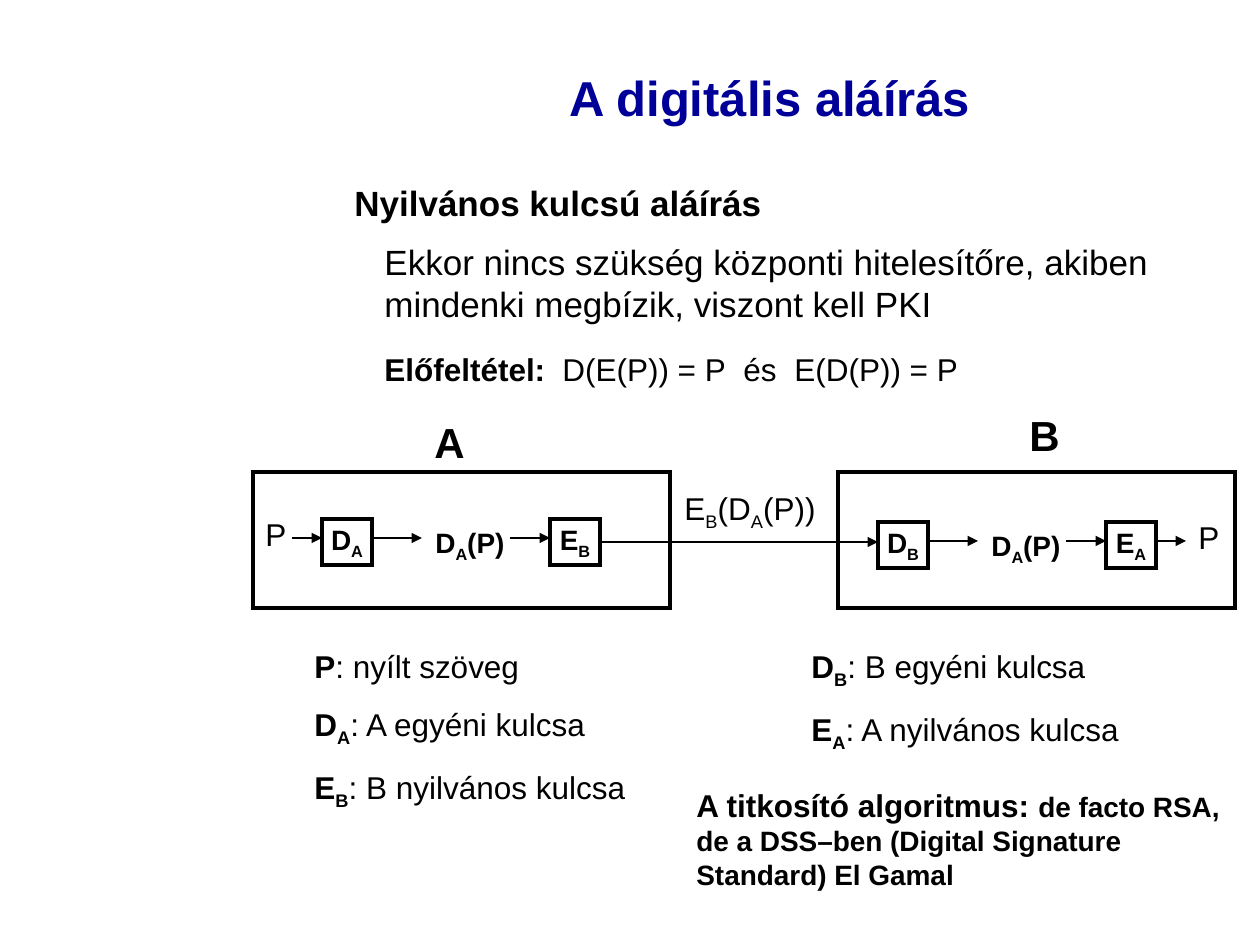
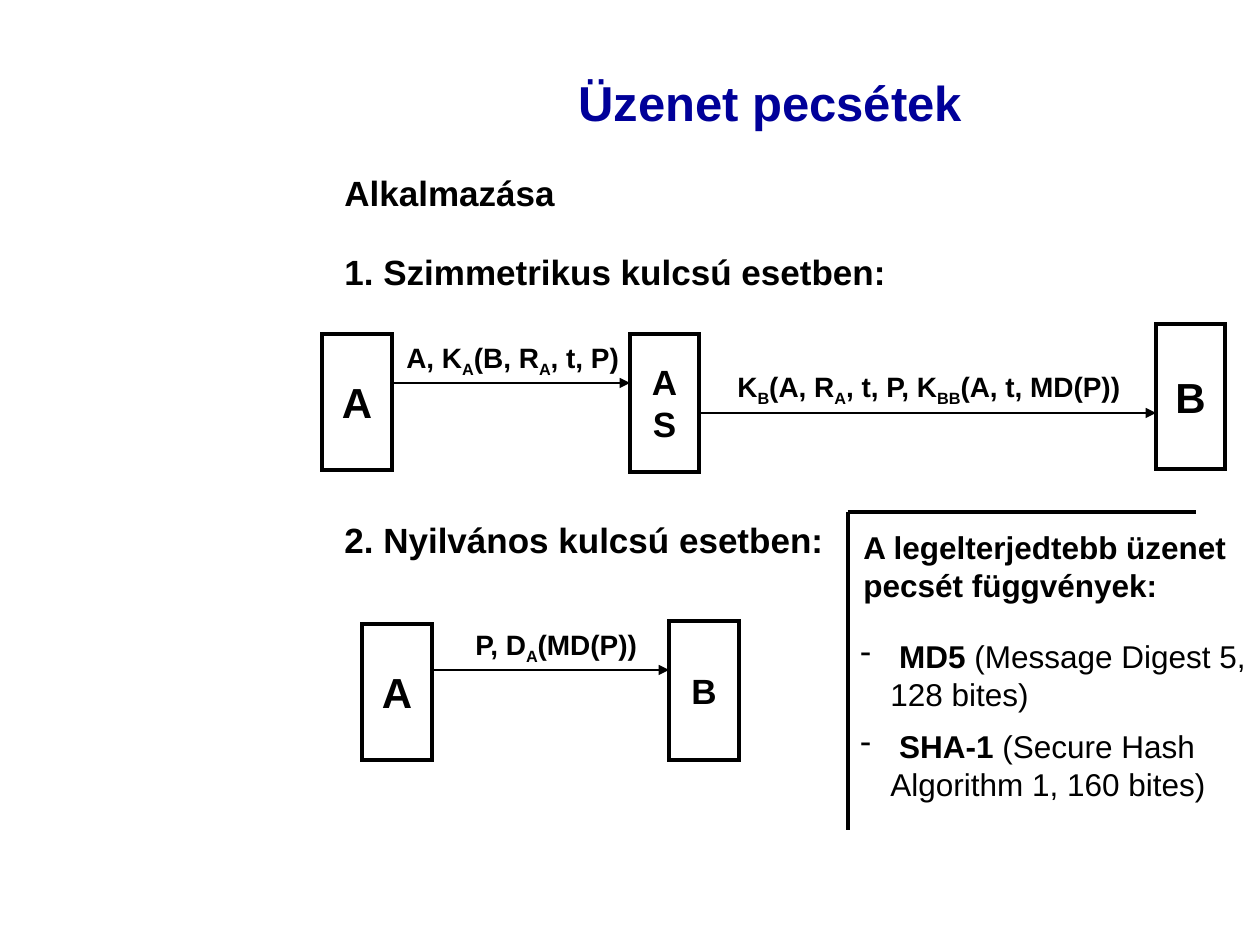
from lxml.etree import SubElement as Sub
from pptx import Presentation
from pptx.dml.color import RGBColor
from pptx.enum.shapes import MSO_CONNECTOR as Conn, MSO_SHAPE as Shape
from pptx.enum.text import MSO_ANCHOR as Anchor, MSO_AUTO_SIZE as Fit, PP_ALIGN as Align
from pptx.oxml.ns import qn
from pptx.util import Emu, Pt

BLACK = RGBColor(0, 0, 0)
NAVY = RGBColor(0, 0, 153)
FONT = "Arial"
THIN, THICK = 0.75, 2.25

# Content: *bold*, ~subscript~; lengths in px, 126 to the inch
SIGN = {
    "title": ("A digitális aláírás", (343, 38, 854, 117)),
    # place, size, wrap, space before, paragraphs
    "texts": [
        ((372, 234, 863, 97), 20, True, 0,
         ["Ekkor nincs szükség központi hitelesítőre, akiben mindenki megbízik, viszont kell PKI"]),
        ((342, 175, 452, 55), 20, True, 0, ["*Nyilvános kulcsú aláírás*"]),
        ((302, 641, 427, 179), 18, True, 11.5,
         ["*P*: nyílt szöveg", "*D~A~*: A egyéni kulcsa", "*E~B~*: B nyilvános kulcsa"]),
        ((799, 641, 427, 120), 18, True, 11.5,
         ["*D~B~*: B egyéni kulcsa", "*E~A~*: A nyilvános kulcsa"]),
        ((672, 483, 156, 55), 18, False, 0, ["E~B~(D~A~(P))"]),
        ((422, 410, 55, 63), 24, False, 0, ["*A*"]),
        ((1017, 403, 55, 63), 24, False, 0, ["*B*"]),
        ((253, 509, 45, 50), 18, False, 0, ["P"]),
        ((1186, 512, 45, 50), 18, False, 0, ["P"]),
    ],
}
RULE = ["*Előfeltétel:*\tD(E(P)) = P\tés\tE(D(P)) = P"]
RULE_TABS = (178, 359, 410)
METHOD = ["*A titkosító algoritmus: **de facto RSA, "
          "de a DSS–ben (Digital Signature Standard) El Gamal*"]
FRAMES = [(253, 472, 417, 136), (838, 472, 397, 136)]
# left, top, first key, second key
CHAINS = [(322, 519, "*D~A~*", "*E~B~*"), (878, 522, "*D~B~*", "*E~A~*")]

SEAL = {
    "title": ("Üzenet pecsétek", (343, 38, 854, 127)),
    "texts": [
        ((332, 165, 250, 55), 20, True, 0, ["*Alkalmazása*"]),
        ((332, 244, 590, 55), 20, True, 0, ["*1. Szimmetrikus kulcsú esetben:*"]),
        ((332, 512, 514, 55), 20, True, 0, ["*2. Nyilvános kulcsú esetben:*"]),
        ((394, 334, 238, 52), 16, False, 0, ["*A, K~A~(B, R~A~, t, P)*"]),
        ((725, 363, 411, 52), 16, False, 0,
         ["*K~B~(A, R~A~, t, P, K~BB~(A, t, MD(P))*"]),
        ((463, 621, 190, 52), 16, False, 0, ["*P, D~A~(MD(P))*"]),
        ((851, 522, 409, 88), 18, True, 0, ["*A legelterjedtebb üzenet pecsét függvények:*"]),
    ],
}
HASHES = [" *MD5 *(Message Digest 5, 128 bites)",
          " *SHA-1* (Secure Hash Algorithm 1, 160 bites)"]
PARTIES = [
    ((322, 334, 70, 136), 24, ["*A*"]),
    ((630, 334, 69, 138), 20, ["*A*", "*S*"]),
    ((1156, 324, 69, 145), 24, ["*B*"]),
    ((362, 624, 70, 136), 24, ["*A*"]),
    ((669, 621, 70, 139), 20, ["*B*"]),
]
SENDS = [(392, 630, 383), (699, 1156, 413), (432, 669, 670)]
CORNER = (848, 512)
ENDS = [(848, 830), (1196, 512)]


def px(n):
    return Emu(round(n * 914400 / 126))


def place(at):
    return [px(n) for n in at]


def style(font, size, color=BLACK):
    font.name, font.size = FONT, Pt(size)
    font.color.rgb = color


def write(frame, paras, size, gap=0, align=Align.LEFT):
    """Fill a text frame from marked-up paragraphs."""
    for i, text in enumerate(paras):
        para = frame.add_paragraph() if i else frame.paragraphs[0]
        para.alignment = align
        para.space_before = Pt(gap if i else 0)
        style(para.font, size)
        for j, part in enumerate(text.split("*")):
            for k, bit in enumerate(part.split("~")):
                if bit:
                    run = para.add_run()
                    run.text = bit
                    run.font.bold = j % 2 == 1
                    if k % 2:
                        run.font._element.set("baseline", "-25000")


def label(slide, at, size, wrap, gap, paras):
    frame = slide.shapes.add_textbox(*place(at)).text_frame
    frame.word_wrap = wrap
    frame.auto_size = Fit.SHAPE_TO_FIT_TEXT
    write(frame, paras, size, gap)
    return frame


def box(slide, at, size=16, paras=()):
    rect = slide.shapes.add_shape(Shape.RECTANGLE, *place(at))
    rect.shadow.inherit = False
    rect.fill.background()
    rect.line.color.rgb, rect.line.width = BLACK, Pt(THICK)
    Sub(rect.line._get_or_add_ln(), qn("a:miter"), lim="800000")
    frame = rect.text_frame
    frame.word_wrap = False
    frame.vertical_anchor = Anchor.MIDDLE
    write(frame, paras, size, align=Align.CENTER)
    return rect


def line(slide, start, end, width=THIN, arrow=True):
    link = slide.shapes.add_connector(Conn.STRAIGHT, *place(start + end))
    link.line.color.rgb, link.line.width = BLACK, Pt(width)
    if arrow:
        Sub(link.line._get_or_add_ln(), qn("a:tailEnd"), type="triangle")
    Sub(link._element.spPr, qn("a:effectLst"))
    return link


def start(deck, data):
    """Add a slide with its title and plain texts."""
    slide = deck.slides.add_slide(deck.slide_layouts[5])
    text, at = data["title"]
    head = slide.shapes.title
    head.left, head.top, head.width, head.height = place(at)
    head.text_frame.text = text
    head.text_frame.vertical_anchor = Anchor.MIDDLE
    para = head.text_frame.paragraphs[0]
    para.alignment = Align.CENTER
    style(para.font, 28, NAVY)
    para.font.bold = True
    for item in data["texts"]:
        label(slide, *item)
    return slide


def chain(slide, x, y, first, last):
    """Draw key box, signed text and key box with arrows; return both boxes."""
    mid = y + 19
    left = box(slide, (x, y, 50, 46), paras=[first])
    right = box(slide, (x + 228, y, 50, 46), paras=[last])
    label(slide, (x + 101, y, 95, 52), 16, False, 0, ["*D~A~(P)*"])
    for a, b in ((50, 100), (188, 228)):
        line(slide, (x + a, mid), (x + b, mid))
    return left, right


def sign(deck):
    slide = start(deck, SIGN)
    for at in FRAMES:
        box(slide, at)
    (_, sent), _ = [chain(slide, *item) for item in CHAINS]

    # Arrows into, between and out of the chains
    line(slide, (292, 538), (322, 538))
    line(slide, (1156, 541), (1186, 541))
    line(slide, (600, 542), (878, 542)).begin_connect(sent, 3)

    # Precondition on tab stops
    para = label(slide, (372, 344, 599, 50), 18, False, 0, RULE).paragraphs[0]
    props = para._p.get_or_add_pPr()
    tabs = Sub(props, qn("a:tabLst"))
    for stop in RULE_TABS:
        Sub(tabs, qn("a:tab"), pos=str(px(stop)), algn="l")
    props.find(qn("a:defRPr")).addprevious(tabs)

    # Algorithm note with a smaller second run
    note = label(slide, (684, 780, 576, 118), 18, True, 0, METHOD)
    note.paragraphs[0].runs[1].font.size = Pt(16)


def seal(deck):
    slide = start(deck, SEAL)
    for item in PARTIES:
        box(slide, *item)
    for a, b, y in SENDS:
        line(slide, (a, y), (b, y))
    for end in ENDS:
        line(slide, CORNER, end, THICK, False)

    # Dashed list of hash functions
    frame = label(slide, (848, 631, 412, 179), 18, True, 8, HASHES)
    for para in frame.paragraphs:
        props = para._p.get_or_add_pPr()
        props.set("marL", str(px(30)))
        props.set("indent", str(px(-30)))
        dash = Sub(props, qn("a:buChar"), char="-")
        props.find(qn("a:defRPr")).addprevious(dash)


def main():
    deck = Presentation()
    deck.slide_width, deck.slide_height = px(1260), px(945)
    sign(deck)
    seal(deck)
    deck.save("out.pptx")


if __name__ == "__main__":
    main()
